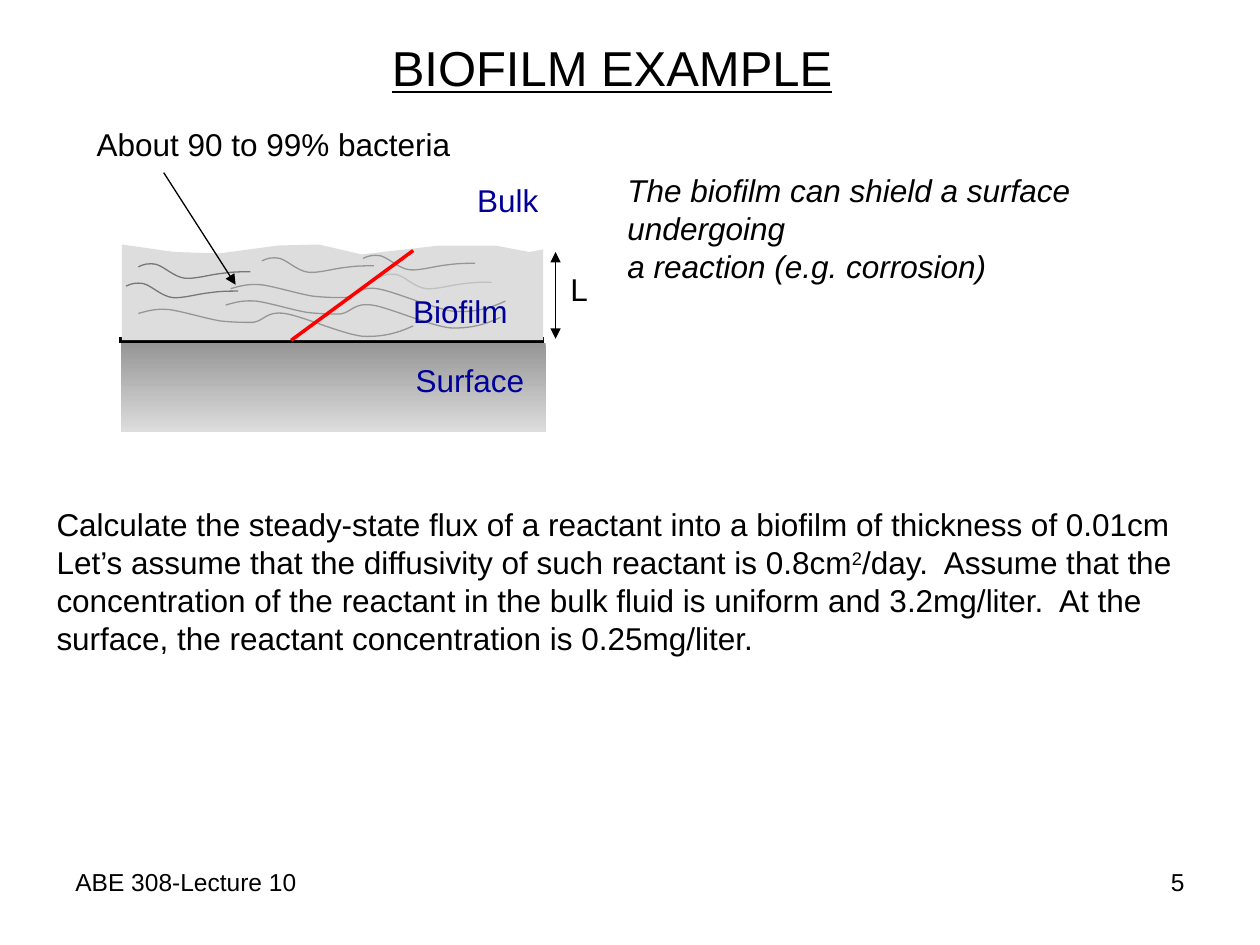
from dataclasses import dataclass

from lxml import etree
from pptx import Presentation
from pptx.dml.color import RGBColor
from pptx.enum.shapes import MSO_CONNECTOR, MSO_SHAPE
from pptx.enum.text import MSO_AUTO_SIZE, PP_ALIGN
from pptx.oxml.ns import qn
from pptx.util import Cm, Pt

STRAIGHT = MSO_CONNECTOR.STRAIGHT
RECTANGLE = MSO_SHAPE.RECTANGLE
FIT_TEXT = MSO_AUTO_SIZE.SHAPE_TO_FIT_TEXT
LEFT, RIGHT = PP_ALIGN.LEFT, PP_ALIGN.RIGHT

Point = tuple[float, float]
Bend = tuple[Point, Point, Point]


@dataclass(frozen=True)
class Theme:
    font: str = "Arial"
    title_size: int = 28
    body_size: int = 18
    footer_size: int = 14
    ink: str = "000000"
    label: str = "000099"
    profile: str = "FF0000"
    film: str = "DDDDDD"
    surface: str = "969696"
    dark_strand: str = "777777"
    mid_strand: str = "969696"
    pale_strand: str = "C0C0C0"
    thin: float = 0.75
    medium: float = 2
    thick: float = 3.5


THEME = Theme()


@dataclass(frozen=True)
class Caption:
    box: tuple[float, float, float, float]
    lines: tuple[str, ...]
    size: int = THEME.body_size
    color: str = THEME.ink
    align: PP_ALIGN = LEFT
    wrap: bool = False
    fit: bool = True
    italic: bool = False
    underline: bool = False


@dataclass(frozen=True)
class Rule:
    start: Point
    end: Point
    color: str = THEME.ink
    weight: float = THEME.thin
    arrows: tuple[str, ...] = ()


@dataclass(frozen=True)
class Strand:
    start: Point
    bends: tuple[Bend, ...]
    color: str = THEME.mid_strand


SHORT_WAVE: tuple[Bend, ...] = (
    ((0.10, -0.05), (0.20, -0.08), (0.36, -0.05)),
    ((0.53, 0), (0.71, 0.20), (0.94, 0.23)),
    ((1.14, 0.25), (1.47, 0.15), (1.70, 0.13)),
    ((1.91, 0.10), (2.08, 0.10), (2.26, 0.10)),
)
LONG_WAVE: tuple[Bend, ...] = (
    ((0.18, -0.05), (0.33, -0.10), (0.61, -0.08)),
    ((0.86, -0.05), (1.35, 0.10), (1.65, 0.15)),
    ((1.93, 0.18), (2.11, 0.18), (2.31, 0.18)),
    ((2.54, 0.15), (2.57, -0.05), (2.95, 0)),
    ((3.30, 0.05), (4.09, 0.41), (4.52, 0.46)),
    ((4.95, 0.48), (5.26, 0.38), (5.54, 0.25)),
)
STRANDS = (
    Strand((2.79, 5.38), SHORT_WAVE, THEME.dark_strand),
    Strand((7.32, 5.21), SHORT_WAVE),
    Strand((7.65, 5.59), SHORT_WAVE, THEME.pale_strand),
    Strand((2.54, 5.77), SHORT_WAVE, THEME.dark_strand),
    Strand((5.28, 5.26), SHORT_WAVE),
    Strand((4.65, 5.82), LONG_WAVE),
    Strand((4.55, 6.15), LONG_WAVE),
    Strand((2.79, 6.32), LONG_WAVE),
)
FILM_OUTLINE: tuple[Point, ...] = (
    (2.46, 6.86), (2.46, 4.93), (3.51, 5.08), (4.42, 5.11), (5.61, 4.95), (6.43, 4.93),
    (7.29, 5.13), (8.86, 4.95), (9.98, 4.95), (10.67, 5.08), (10.95, 5.03), (10.95, 6.86),
)
SURFACE_BOX = (2.44, 6.91, 8.56, 1.80)
SURFACE_EDGE = Rule((2.39, 6.86), (10.97, 6.86), weight=THEME.thick)
RULES = (
    Rule((11.20, 5.08), (11.20, 6.83), arrows=("headEnd", "tailEnd")),
    Rule((5.87, 6.86), (8.33, 5.05), THEME.profile, THEME.medium),
    Rule((3.30, 3.48), (4.75, 5.74), arrows=("tailEnd",)),
)
SUPERSCRIPT_MARK = "^"
CAPTIONS = (
    Caption((1.27, 17.35, 5.92, 1.32), ("ABE 308-Lecture 10",), THEME.footer_size, wrap=True, fit=False),
    Caption((18.21, 17.35, 5.92, 1.32), ("5",), THEME.footer_size, align=RIGHT, wrap=True, fit=False),
    Caption((7.65, 0.64, 9.40, 1.45), ("BIOFILM EXAMPLE",), THEME.title_size, underline=True),
    Caption((11.25, 5.31, 0.86, 1.02), ("L",)),
    Caption((8.08, 5.77, 2.41, 1.02), ("Biofilm",), color=THEME.label),
    Caption((8.13, 7.16, 2.69, 1.02), ("Surface",), color=THEME.label),
    Caption((9.37, 3.53, 1.75, 1.02), ("Bulk",), color=THEME.label),
    Caption((1.70, 2.39, 7.65, 1.02), ("About 90 to 99% bacteria",)),
    Caption((0.89, 10.06, 23.29, 3.30), (
        "Calculate the steady-state flux of a reactant into a biofilm of thickness of 0.01cm",
        "Let’s assume that the diffusivity of such reactant is 0.8cm^2^/day.  Assume that the",
        "concentration of the reactant in the bulk fluid is uniform and 3.2mg/liter.  At the "
        "surface, the reactant concentration is 0.25mg/liter.",
    ), wrap=True),
    Caption((12.40, 3.33, 12.78, 1.78), (
        "The biofilm can shield a surface undergoing",
        "a reaction (e.g. corrosion)",
    ), italic=True),
)


def rgb(color: str) -> RGBColor:
    return RGBColor.from_string(color)


def emu(point: Point) -> tuple[int, int]:
    return Cm(point[0]), Cm(point[1])


def draw_caption(shapes, caption: Caption) -> None:
    frame = shapes.add_textbox(*map(Cm, caption.box)).text_frame
    frame.word_wrap = caption.wrap
    if caption.fit:
        frame.auto_size = FIT_TEXT
    for index, line in enumerate(caption.lines):
        paragraph = frame.add_paragraph() if index else frame.paragraphs[0]
        paragraph.alignment = caption.align
        for part, wording in enumerate(line.split(SUPERSCRIPT_MARK)):
            run = paragraph.add_run()
            run.text = wording
            run.font.name = THEME.font
            run.font.size = Pt(caption.size)
            run.font.color.rgb = rgb(caption.color)
            run.font.italic = caption.italic
            run.font.underline = caption.underline
            if part % 2:
                run._r.get_or_add_rPr().set("baseline", "30000")


def draw_rule(shapes, rule: Rule) -> None:
    connector = shapes.add_connector(STRAIGHT, *emu(rule.start), *emu(rule.end))
    connector.line.color.rgb = rgb(rule.color)
    connector.line.width = Pt(rule.weight)
    for end in rule.arrows:
        etree.SubElement(connector.line._get_or_add_ln(), qn(f"a:{end}"), type="triangle")
    etree.SubElement(connector._element.spPr, qn("a:effectLst"))


def draw_strand(shapes, strand: Strand) -> None:
    """Draw a wave, turning each straight segment into a cubic curve."""
    x, y = strand.start
    bends = [[emu((x + dx, y + dy)) for dx, dy in bend] for bend in strand.bends]
    builder = shapes.build_freeform(*emu(strand.start))
    builder.add_line_segments([bend[-1] for bend in bends], close=False)
    shape = builder.convert_to_shape()
    shape.shadow.inherit = False
    shape.fill.background()
    shape.line.color.rgb = rgb(strand.color)
    shape.line.width = Pt(THEME.thin)
    segments = list(shape._element.iter(qn("a:lnTo")))
    for segment, bend in zip(segments, bends):
        curve = etree.Element(qn("a:cubicBezTo"))
        for px, py in bend:
            etree.SubElement(curve, qn("a:pt"), x=str(px - shape.left), y=str(py - shape.top))
        segment.getparent().replace(segment, curve)


def draw_surface(shapes) -> None:
    surface = shapes.add_shape(RECTANGLE, *map(Cm, SURFACE_BOX))
    surface.shadow.inherit = False
    surface.line.fill.background()
    surface.fill.gradient()
    surface.fill.gradient_angle = 270
    for stop, color in zip(surface.fill.gradient_stops, (THEME.surface, THEME.film)):
        stop.color.rgb = rgb(color)


def draw_film(shapes) -> None:
    builder = shapes.build_freeform(*emu(FILM_OUTLINE[0]))
    builder.add_line_segments([emu(point) for point in FILM_OUTLINE[1:]], close=True)
    film = builder.convert_to_shape()
    film.shadow.inherit = False
    film.fill.solid()
    film.fill.fore_color.rgb = rgb(THEME.film)
    film.line.fill.background()


def main() -> None:
    presentation = Presentation()
    presentation.slide_width, presentation.slide_height = Cm(25.4), Cm(19.05)
    shapes = presentation.slides.add_slide(presentation.slide_layouts[6]).shapes
    draw_surface(shapes)
    draw_rule(shapes, SURFACE_EDGE)
    draw_film(shapes)
    for strand in STRANDS:
        draw_strand(shapes, strand)
    for rule in RULES:
        draw_rule(shapes, rule)
    for caption in CAPTIONS:
        draw_caption(shapes, caption)
    presentation.save("out.pptx")


if __name__ == "__main__":
    main()
